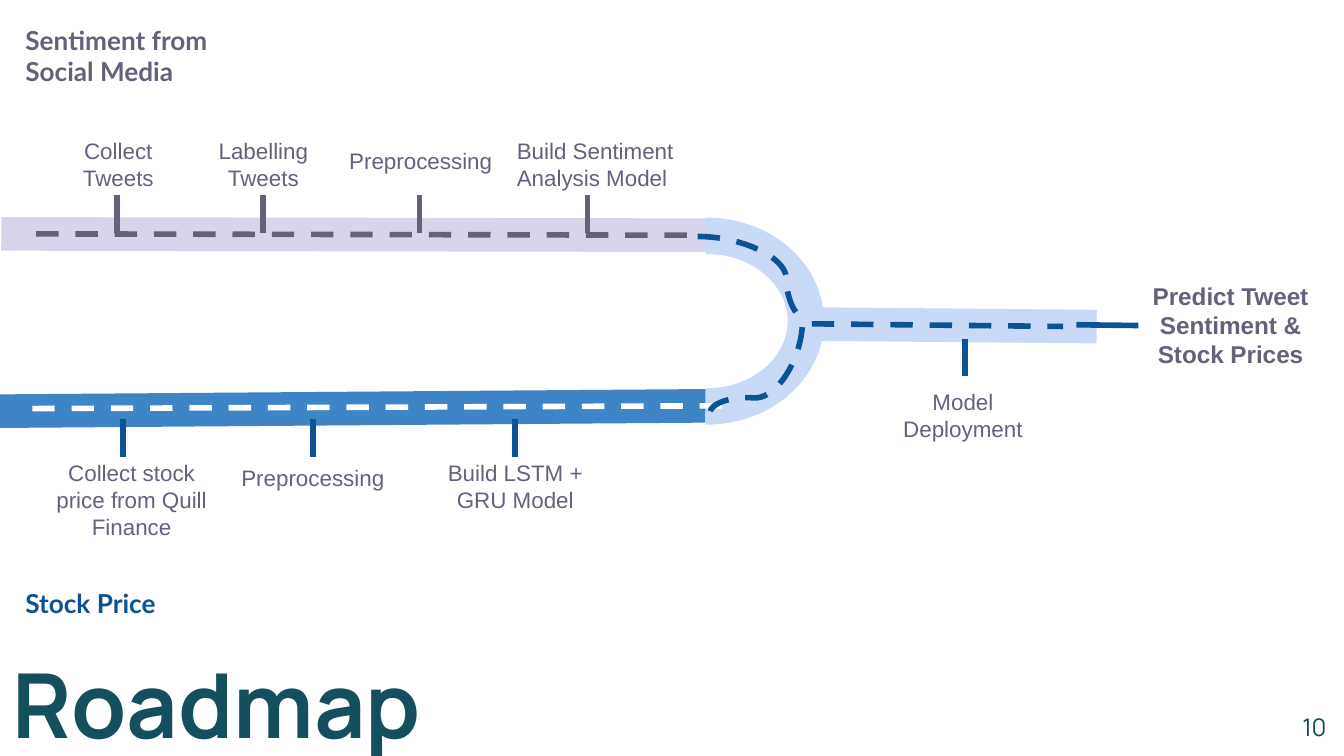
from collections import namedtuple
from dataclasses import dataclass
from lxml import etree
from pptx import Presentation
from pptx import util as u
from pptx.dml.color import RGBColor
from pptx.enum import dml, shapes, text
from pptx.oxml import ns

Box = namedtuple("Box", "x y w h")
Step = namedtuple("Step", "label post box align")


@dataclass(frozen=True)
class Theme:
    plum: str = "65617D"
    navy: str = "0B5394"
    teal: str = "134F5C"
    lilac: str = "D8D5EB"
    blue: str = "3D85C6"
    sky: str = "C9DAF8"
    white: str = "FFFFFF"
    body: str = "Arial"
    head: str = "Lato"
    brand: str = "Manrope"
    small: int = 12
    goal: int = 13
    lead: int = 14
    title: int = 48
    road: int = 18
    mark: int = 3


T = Theme()
LEFT, MID, RIGHT = text.PP_ALIGN.LEFT, text.PP_ALIGN.CENTER, text.PP_ALIGN.RIGHT
TOP, CORE, BASE = text.MSO_ANCHOR.TOP, text.MSO_ANCHOR.MIDDLE, text.MSO_ANCHOR.BOTTOM


def pts(*vals):
    return [u.Pt(v) for v in vals]


def within(box, part):
    return Box(box.x + part[0], box.y + part[1], part[2], part[3])


def write(slide, words, box, size=T.small, font=T.body, color=T.plum,
          bold=False, align=MID, anchor=TOP, inset=7.2):
    frame = slide.shapes.add_textbox(*pts(*box)).text_frame
    frame.word_wrap = True
    frame.vertical_anchor = anchor
    frame.margin_left = frame.margin_right = u.Pt(inset)
    frame.margin_top = frame.margin_bottom = u.Pt(inset)
    frame.text = words
    for para in frame.paragraphs:
        para.alignment = align
        para.font.size = u.Pt(size)
        para.font.name = font
        para.font.bold = bold
        para.font.color.rgb = RGBColor.from_string(color)


def draw(slide, box, start, end, color, width=T.mark, dash=False, bend=None, turn=0):
    kind = shapes.MSO_CONNECTOR.STRAIGHT if bend is None else shapes.MSO_CONNECTOR.CURVE
    line = slide.shapes.add_connector(kind, *pts(
        box.x + start[0], box.y + start[1], box.x + end[0], box.y + end[1]))
    line.line.color.rgb = RGBColor.from_string(color)
    line.line.width = u.Pt(width)
    if dash:
        line.line.dash_style = dml.MSO_LINE.DASH
    props = line._element.spPr
    etree.SubElement(props, ns.qn("a:effectLst"))
    if turn:
        props.find(ns.qn("a:xfrm")).set("rot", str(turn * 60000))
    if bend is not None:
        geom = props.find(ns.qn("a:prstGeom"))
        guides = geom.find(ns.qn("a:avLst"))
        if guides is None:
            guides = etree.SubElement(geom, ns.qn("a:avLst"))
        etree.SubElement(guides, ns.qn("a:gd"), name="adj1", fmla=f"val {bend}")


def pave(slide, box):
    draw(slide, box, (0.7, 125.3), (381, 126), T.lilac, T.road)
    draw(slide, box, (-0.7, 220.3), (383, 217.4), T.blue, T.road)
    draw(slide, box, (422.6, 173.5), (587.5, 175), T.sky, T.road)
    arc = slide.shapes.add_shape(shapes.MSO_SHAPE.BLOCK_ARC,
                                 *pts(*within(box, (323.3, 109.4, 110.2, 125.3))))
    arc.rotation = 90
    for i, val in enumerate((108, 0.16, 0.17)):
        arc.adjustments[i] = val
    arc.shadow.inherit = False
    arc.fill.solid()
    arc.fill.fore_color.rgb = arc.line.color.rgb = RGBColor.from_string(T.sky)
    arc.line.width = u.Pt(0.75)


def branch(slide, box, name, spot, color, steps, post, lane, paint):
    write(slide, name, within(box, spot), T.lead, T.head, color, True, LEFT)
    for step in steps:
        write(slide, step.label, within(box, step.box), align=step.align)
        draw(slide, box, (step.post, post), (step.post, post + 20.2), color)
    draw(slide, box, *lane, paint, dash=True)


def merge(slide, box):
    draw(slide, box, (0, 0), (59, 45), T.navy, dash=True, bend=80600)
    draw(slide, box, (6.5, 48.7), (56.2, 94), T.navy, dash=True, bend=80500, turn=95)
    draw(slide, box, (61.2, 46.8), (195.8, 48.2), T.navy, dash=True)
    draw(slide, box, (236.2, 47.7), (203, 47.3), T.navy)
    draw(slide, box, (143.3, 54.7), (143.3, 74.9), T.navy)
    write(slide, "Model Deployment", within(box, (92.9, 74.2, 98.6, 44)))
    write(slide, "Predict Tweet Sentiment & Stock Prices",
          within(box, (236.2, 16.6, 98.6, 62)), T.goal, bold=True)


def footer(slide, box):
    write(slide, "Roadmap", within(box, (6.5, 0, 502.6, 67.7)), T.title, T.brand,
          T.teal, True, LEFT, BASE, 0)
    write(slide, "10", within(box, (667.4, 36, 43.2, 31)), T.goal, T.brand,
          T.teal, align=RIGHT, anchor=CORE, inset=0)


def main():
    deck = Presentation()
    deck.slide_width, deck.slide_height = pts(720, 405)
    slide = deck.slides.add_slide(deck.slide_layouts[6])
    social = [
        Step("Collect\nTweets", 62.8, (27.4, 66.2, 72, 44), MID),
        Step("Labelling Tweets", 141, (108, 66.2, 66.2, 44), MID),
        Step("Preprocessing", 224.7, (180, 71.5, 98.6, 29), LEFT),
        Step("Build Sentiment Analysis Model", 314.7, (269.8, 66.2, 103.7, 44), LEFT),
    ]
    stock = [
        Step("Collect stock price from Quill Finance", 66, (18.7, 39, 103.7, 58), MID),
        Step("Preprocessing", 167.8, (122.2, 41.2, 98.6, 29), LEFT),
        Step("Build LSTM + GRU Model", 275.8, (226.8, 39, 98.6, 44), MID),
    ]
    pave(slide, Box(0, 0, 720, 405))
    branch(slide, Box(0, 0, 383, 135), "Sentiment from Social Media",
           (6.5, 5.8, 143.3, 48), T.plum, social, 104.4,
           ((19.4, 125.3), (368, 126)), T.plum)
    branch(slide, Box(0, 200, 383, 140), "Stock Price",
           (6.5, 107.4, 143.3, 32), T.navy, stock, 24.6,
           ((17.3, 18.9), (387.4, 17.4)), T.white)
    merge(slide, Box(373.7, 126.7, 335, 120))
    footer(slide, Box(0, 337.7, 720, 67.7))
    deck.save("out.pptx")


if __name__ == "__main__":
    main()
